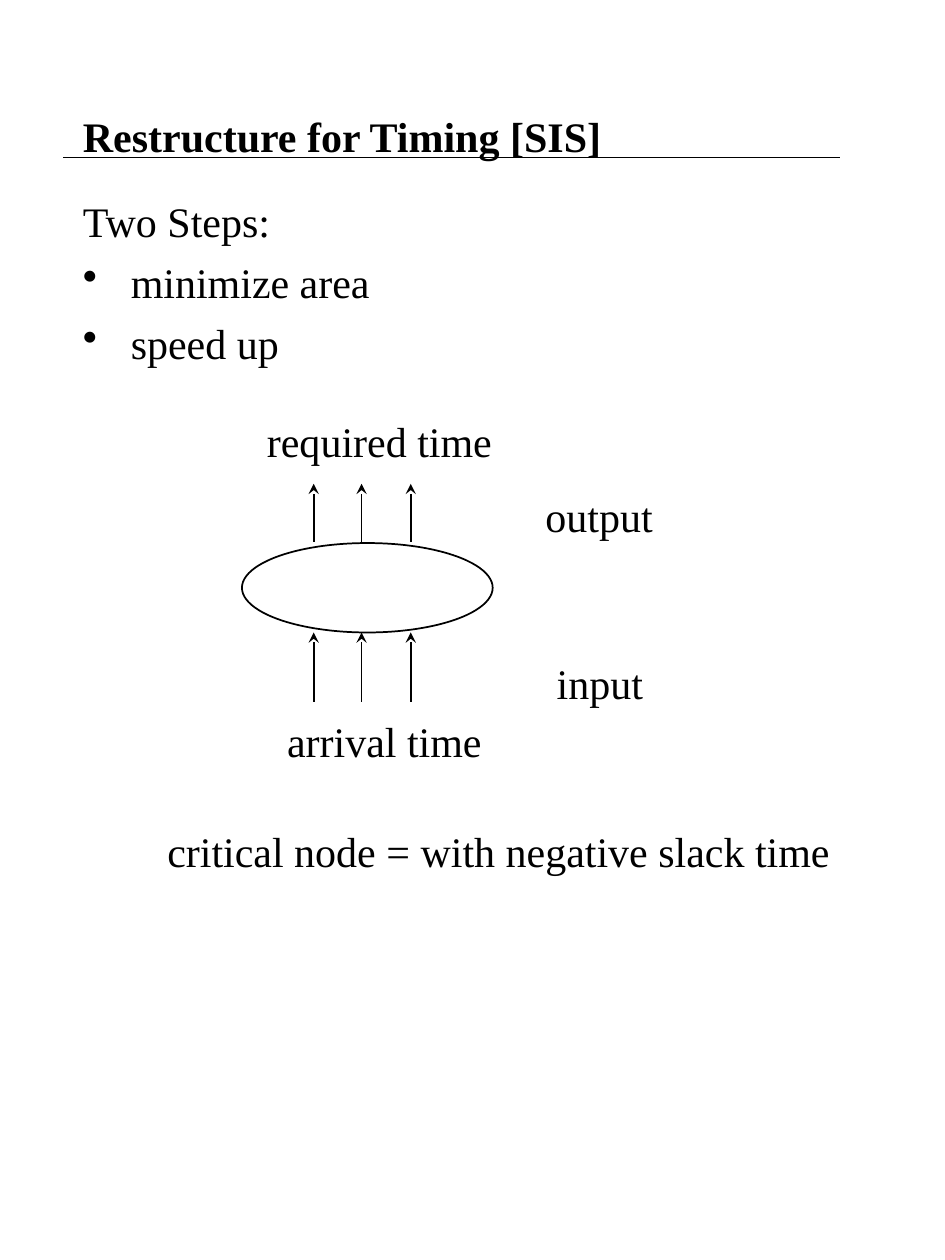
from dataclasses import dataclass

from lxml import etree
from pptx import Presentation
from pptx import util as u
from pptx.dml.color import RGBColor
from pptx.enum import shapes, text
from pptx.oxml.ns import qn

BLACK = "000000"
WHITE = "FFFFFF"
FONT = "Times New Roman"
LINE_WIDTH = u.Pt(1)


@dataclass
class Label:
    content: str
    left: float
    top: float
    width: float


@dataclass
class ArrowRow:
    start: float
    end: float


@dataclass
class Step:
    content: str
    bullet: bool


LABELS = [
    Label("required time", 2.02, 3.25, 1.99),
    Label("arrival time", 2.18, 5.63, 1.75),
    Label("critical node = with negative slack time", 1.23, 6.5, 5.46),
    Label("output", 4.23, 3.84, 1.05),
    Label("input", 4.32, 5.17, 0.89),
]
ARROW_ROWS = [ArrowRow(4.3, 3.84), ArrowRow(5.57, 5.02)]
ARROW_COLUMNS = [2.49, 2.87, 3.26]
STEPS = [
    Step("Two Steps:", False),
    Step("minimize area", True),
    Step("speed up", True),
]


def color(value: str) -> RGBColor:
    return RGBColor.from_string(value)


def add_box(slide, left: float, top: float, width: float, height: float, wrap: bool = True):
    box = slide.shapes.add_textbox(
        u.Inches(left), u.Inches(top), u.Inches(width), u.Inches(height)
    )
    frame = box.text_frame
    frame.word_wrap = wrap
    return frame


def add_run(paragraph, content: str, bold: bool = False) -> None:
    run = paragraph.add_run()
    run.text = content
    run.font.name = FONT
    run.font.size = u.Pt(24)
    run.font.bold = bold
    run.font.color.rgb = color(BLACK)


def add_title(slide, content: str) -> None:
    frame = add_box(slide, 0.56, 0.56, 6.37, 1.03)
    frame.vertical_anchor = text.MSO_ANCHOR.MIDDLE
    add_run(frame.paragraphs[0], content, bold=True)


def add_steps(slide) -> None:
    frame = add_box(slide, 0.56, 1.5, 6.37, 7.39)
    for index, step in enumerate(STEPS):
        paragraph = frame.add_paragraph() if index else frame.paragraphs[0]
        paragraph.space_before = u.Pt(6)
        add_run(paragraph, step.content)
        properties = paragraph._p.get_or_add_pPr()
        properties.set("marL", str(u.Inches(0.38)))
        properties.set("indent", str(u.Inches(-0.38)))
        if step.bullet:
            bullet = etree.SubElement(properties, qn("a:buChar"))
            bullet.set("char", "•")
        else:
            etree.SubElement(properties, qn("a:buNone"))


def add_label(slide, label: Label) -> None:
    frame = add_box(slide, label.left, label.top, label.width, 0.5, wrap=False)
    frame.auto_size = text.MSO_AUTO_SIZE.SHAPE_TO_FIT_TEXT
    add_run(frame.paragraphs[0], label.content)


def add_line(slide, x1: float, y1: float, x2: float, y2: float, arrow: bool = False) -> None:
    connector = slide.shapes.add_connector(
        shapes.MSO_CONNECTOR.STRAIGHT,
        u.Inches(x1), u.Inches(y1), u.Inches(x2), u.Inches(y2),
    )
    connector.line.color.rgb = color(BLACK)
    connector.line.width = LINE_WIDTH
    if arrow:
        tail = etree.SubElement(connector.line._get_or_add_ln(), qn("a:tailEnd"))
        tail.set("type", "stealth")
    etree.SubElement(connector._element.spPr, qn("a:effectLst"))


def add_node(slide) -> None:
    node = slide.shapes.add_shape(
        shapes.MSO_SHAPE.OVAL,
        u.Inches(1.92), u.Inches(4.31), u.Inches(1.99), u.Inches(0.71),
    )
    node.shadow.inherit = False
    node.fill.solid()
    node.fill.fore_color.rgb = color(WHITE)
    fill = node._element.spPr.find(qn("a:solidFill"))
    etree.SubElement(fill[0], qn("a:alpha")).set("val", "50000")
    node.line.color.rgb = color(BLACK)
    node.line.width = LINE_WIDTH


def main() -> None:
    presentation = Presentation()
    presentation.slide_width = u.Inches(7.5)
    presentation.slide_height = u.Inches(10)
    slide = presentation.slides.add_slide(presentation.slide_layouts[6])
    add_title(slide, "Restructure for Timing [SIS]")
    add_steps(slide)
    add_line(slide, 0.5, 1.25, 6.67, 1.25)
    add_node(slide)
    for row in ARROW_ROWS:
        for x in ARROW_COLUMNS:
            add_line(slide, x, row.start, x, row.end, arrow=True)
    for label in LABELS:
        add_label(slide, label)
    presentation.save("out.pptx")


main()
